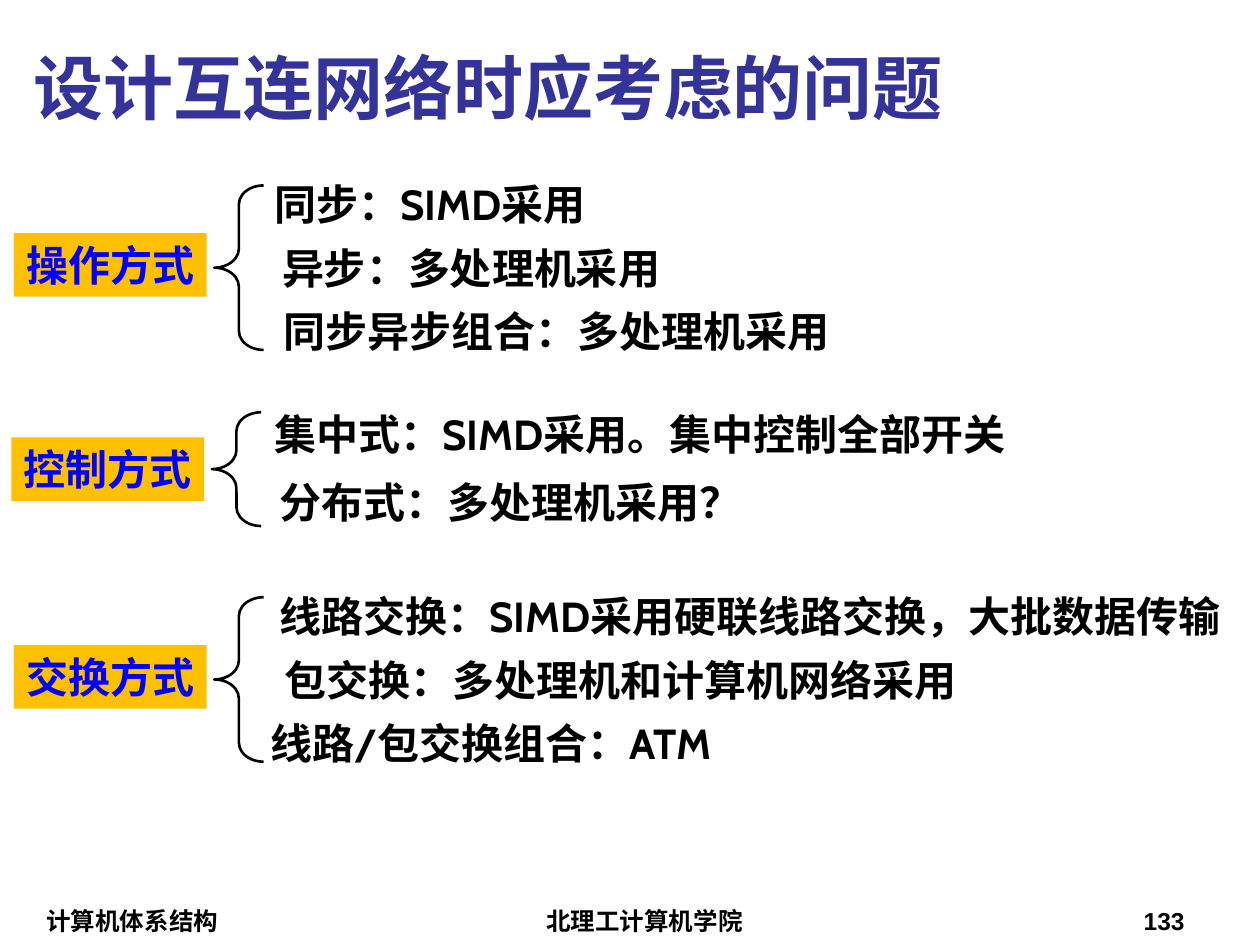
from pptx import Presentation
from pptx.dml.color import RGBColor
from pptx.enum.shapes import MSO_SHAPE
from pptx.enum.text import MSO_ANCHOR, MSO_AUTO_SIZE, PP_ALIGN
from pptx.util import Pt

RECT, BRACE = MSO_SHAPE.RECTANGLE, MSO_SHAPE.LEFT_BRACE
BOTTOM, TOP = MSO_ANCHOR.BOTTOM, MSO_ANCHOR.TOP
LEFT, CENTER, RIGHT = PP_ALIGN.LEFT, PP_ALIGN.CENTER, PP_ALIGN.RIGHT
FIT = MSO_AUTO_SIZE.SHAPE_TO_FIT_TEXT

NAVY = RGBColor(0x33, 0x33, 0x99)
BLUE = RGBColor(0x00, 0x00, 0xFF)
AMBER = RGBColor(0xFF, 0xC0, 0x00)
BLACK = RGBColor(0x00, 0x00, 0x00)

LINE_H = 36.3
LABEL_W = 110.2
BRACE_W = 28.2
BRACE_CURVE = 10.8

prs = Presentation()
prs.slide_width, prs.slide_height = Pt(720), Pt(540)
s = prs.slides.add_slide(prs.slide_layouts[6])


def write(sp, text, size, color, font="Cabin", align=LEFT, anchor=TOP):
    tf = sp.text_frame
    tf.vertical_anchor = anchor
    p = tf.paragraphs[0]
    p.alignment = align
    r = p.add_run()
    r.text = text
    r.font.name, r.font.size, r.font.bold = font, Pt(size), True
    r.font.color.rgb = color
    return tf


def text_box(x, y, w, h):
    return s.shapes.add_textbox(Pt(x), Pt(y), Pt(w), Pt(h))


# Title
sp = text_box(12.2, 16.6, 692, 60.5)
write(sp, "设计互连网络时应考虑的问题", 40, NAVY, anchor=BOTTOM).word_wrap = True

# Footer
for x, w, text, align in [(19.4, 181.4, "计算机体系结构", LEFT),
                          (212.4, 311.8, "北理工计算机学院", CENTER),
                          (534.2, 149.8, "133", RIGHT)]:
    sp = text_box(x, 514, w, 24)
    write(sp, text, 14, BLACK, "Arial", align, BOTTOM).word_wrap = True

# Topics: label, label x and y, brace y and height, lines (x, y, width, text)
topics = [
    ("操作方式", 7.9, 133.2, 106, 94, [
        (149.8, 98.6, 208.8, "同步：SIMD采用"),
        (154.1, 134.9, 230.4, "异步：多处理机采用"),
        (154.8, 171.2, 326.2, "同步异步组合：多处理机采用")]),
    ("控制方式", 6.5, 250, 235.6, 65, [
        (149.8, 229.7, 448.6, "集中式：SIMD采用。集中控制全部开关"),
        (152.6, 268.6, 277.9, "分布式：多处理机采用？")]),
    ("交换方式", 7.9, 368.6, 341.3, 94, [
        (152.6, 334, 568.8, "线路交换：SIMD采用硬联线路交换，大批数据传输"),
        (155.5, 370.3, 398.2, "包交换：多处理机和计算机网络采用"),
        (147.6, 406.6, 286.6, "线路/包交换组合：ATM")]),
]
for label, x, y, brace_y, brace_h, lines in topics:
    # Label
    sp = s.shapes.add_shape(RECT, Pt(x), Pt(y), Pt(LABEL_W), Pt(LINE_H))
    sp.shadow.inherit = False
    sp.fill.solid()
    sp.fill.fore_color.rgb = AMBER
    sp.line.fill.background()
    tf = write(sp, label, 24, BLUE)
    tf.word_wrap, tf.auto_size = False, FIT

    # Brace
    sp = s.shapes.add_shape(BRACE, Pt(x + 114.5), Pt(brace_y), Pt(BRACE_W), Pt(brace_h))
    sp.shadow.inherit = False
    sp.fill.background()
    sp.line.color.rgb, sp.line.width = BLACK, Pt(1.5)
    sp.adjustments[0] = BRACE_CURVE / BRACE_W

    # Lines
    for line_x, line_y, w, text in lines:
        tf = write(text_box(line_x, line_y, w, LINE_H), text, 24, BLACK)
        tf.word_wrap, tf.auto_size = False, FIT

prs.save("out.pptx")
